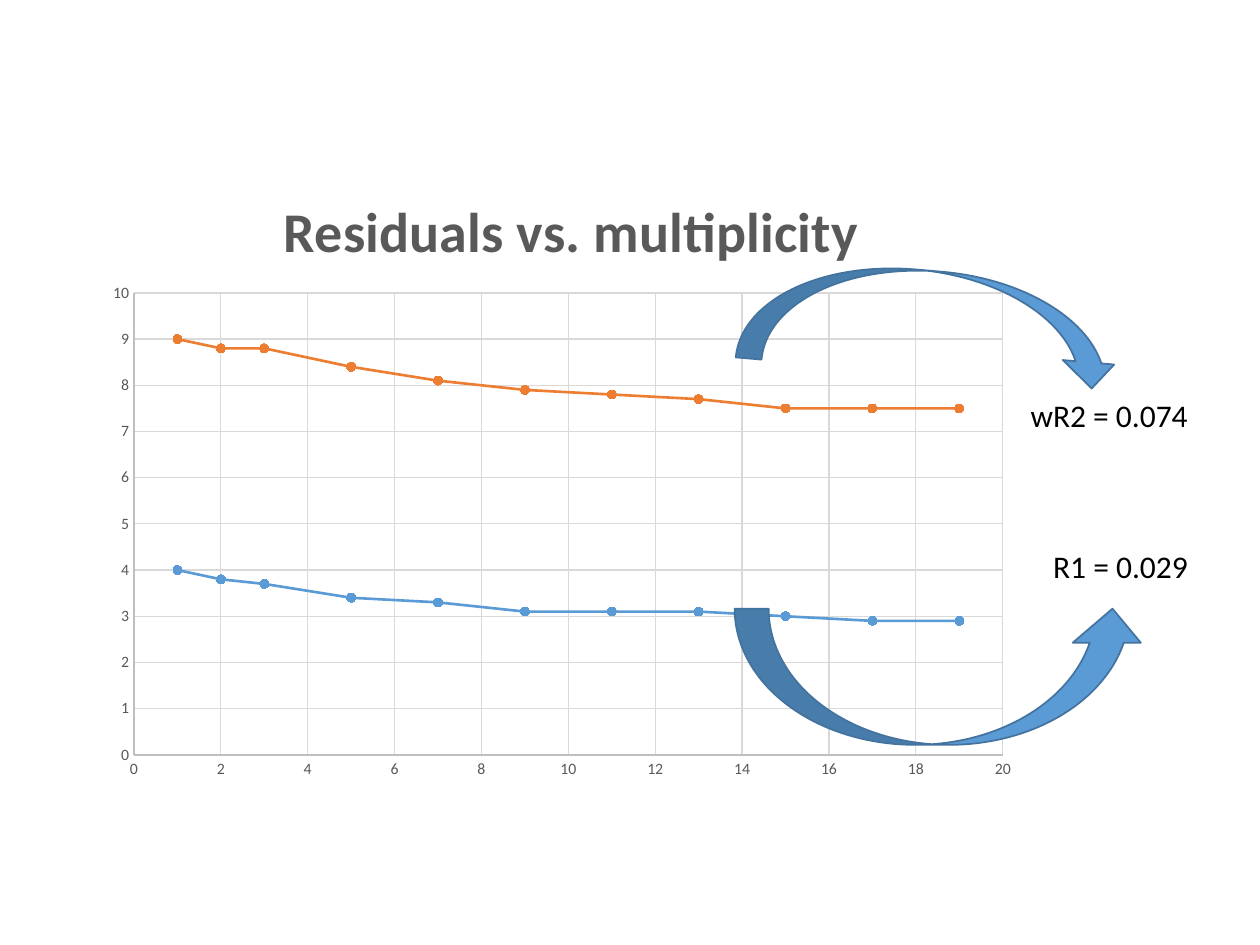
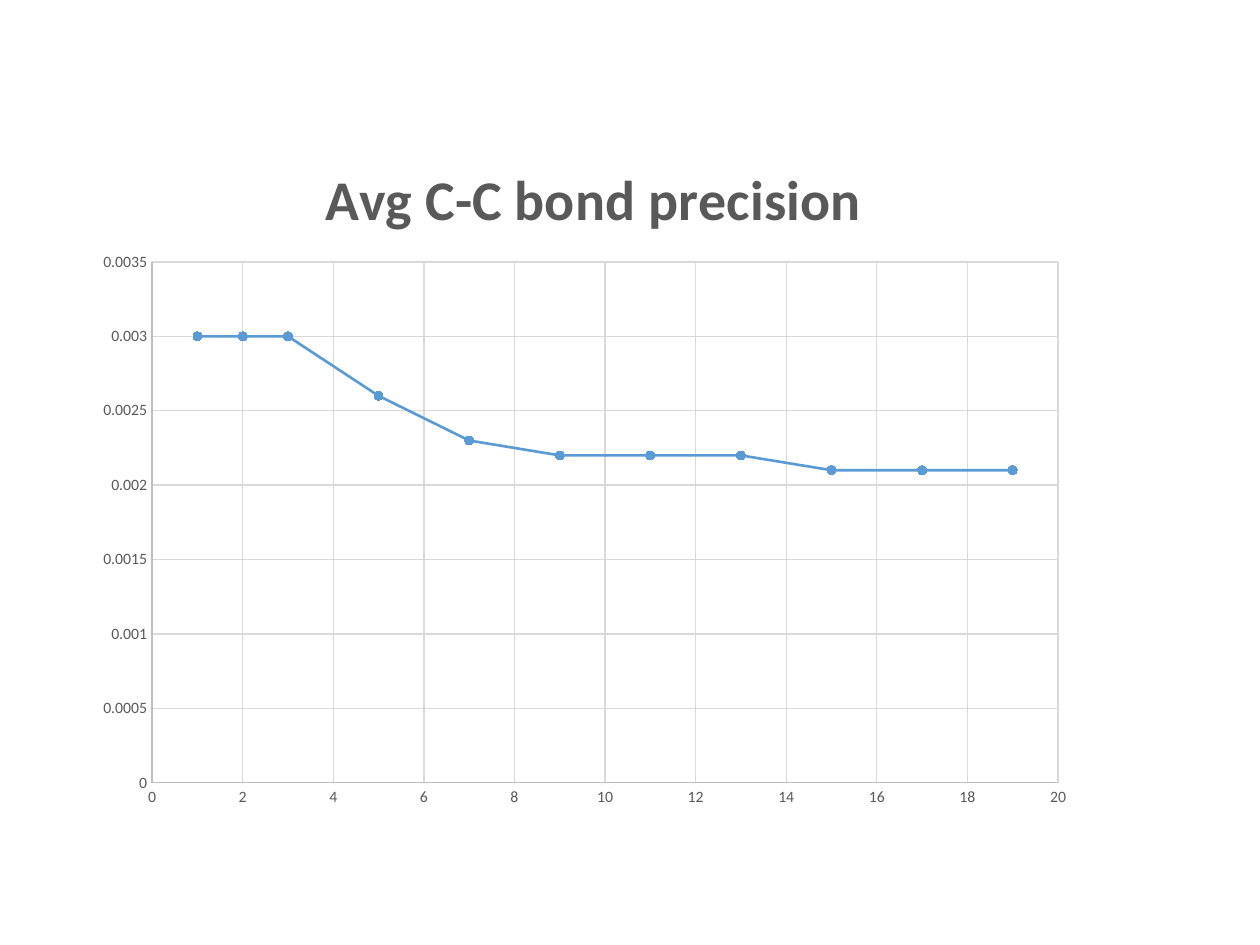
"""Two slides of scatter charts on residuals and bond precision against multiplicity."""
from lxml.etree import SubElement
from pptx import Presentation
from pptx.chart.data import XyChartData
from pptx.dml.color import RGBColor
from pptx.enum.chart import XL_CHART_TYPE, XL_MARKER_STYLE, XL_TICK_MARK
from pptx.enum.shapes import MSO_SHAPE
from pptx.enum.text import MSO_AUTO_SIZE
from pptx.oxml.ns import qn
from pptx.util import Pt

FONT = "Calibri"
COLORS = {"blue": "5B9BD5", "orange": "ED7D31", "outline": "43739E",
          "text": "000000", "muted": "595959", "axis": "BFBFBF", "grid": "D9D9D9"}
SERIES_COLORS = ("blue", "orange")
MULTIPLICITY = (1, 2, 3, 5, 7, 9, 11, 13, 15, 17, 19)
MULTIPLICITY_AXIS = (20, 2)

CHARTS = [
    {"title": "Residuals vs. multiplicity",
     "frame": (54, 84.24, 535, 368),
     "plot": (76.6, 167.4, 496.5, 264),
     "title_at": (156, 104),
     "value_axis": (10, 1),
     "series": [(4, 3.8, 3.7, 3.4, 3.3, 3.1, 3.1, 3.1, 3, 2.9, 2.9),
                (9, 8.8, 8.8, 8.4, 8.1, 7.9, 7.8, 7.7, 7.5, 7.5, 7.5)]},
    {"title": "Avg C-C bond precision",
     "frame": (47.5, 65.5, 573, 403),
     "plot": (86.9, 149.7, 517.7, 297.7),
     "title_at": (180, 85.5),
     "value_axis": (0.0035, 0.0005),
     "series": [(0.003, 0.003, 0.003, 0.0026, 0.0023, 0.0022,
                 0.0022, 0.0022, 0.0021, 0.0021, 0.0021)]},
]
ARROWS = [(MSO_SHAPE.CURVED_LEFT_ARROW, (502.6, 74.9, 59, 218.9), 275),
          (MSO_SHAPE.CURVED_UP_ARROW, (419.8, 347.8, 235.4, 77.8), 0)]
LABELS = [("wR2 = 0.074", (581.8, 222.5, 118.8, 28.8)),
          ("R1 = 0.029", (594.7, 308.9, 92.9, 28.8))]


def color(name):
    return RGBColor.from_string(COLORS[name])


def points(values):
    return [Pt(value) for value in values]


def style_line(line, name, width):
    line.color.rgb = color(name)
    line.width = Pt(width)


def style_font(font, size, name, bold=False):
    font.name = FONT
    font.size = Pt(size)
    font.bold = bold
    font.color.rgb = color(name)


def set_layout(parent, position, frame, inner=False):
    """Place a chart part at slide coordinates, as fractions of the chart frame."""
    for old in parent.findall(qn("c:layout")):
        parent.remove(old)
    layout = parent.makeelement(qn("c:layout"))
    text = parent.find(qn("c:tx"))
    parent.insert(0 if text is None else 1, layout)
    manual = SubElement(layout, qn("c:manualLayout"))
    left, top, width, height = frame
    fractions = [(position[0] - left) / width, (position[1] - top) / height]
    fractions += [length / side for length, side in zip(position[2:], (width, height))]
    settings = [("layoutTarget", "inner")] if inner else []
    settings += [("xMode", "edge"), ("yMode", "edge")]
    settings += [(key, f"{value:.4f}") for key, value in zip("xywh", fractions)]
    for key, value in settings:
        SubElement(manual, qn(f"c:{key}")).set("val", value)


def style_axis(axis, maximum, step):
    axis.minimum_scale = 0
    axis.maximum_scale = maximum
    axis.major_unit = step
    axis.major_tick_mark = axis.minor_tick_mark = XL_TICK_MARK.NONE
    axis.has_major_gridlines = True
    style_line(axis.major_gridlines.format.line, "grid", 0.75)
    style_line(axis.format.line, "axis", 0.75)
    style_font(axis.tick_labels.font, 9, "muted")
    axis.tick_labels.number_format = "General"
    axis.tick_labels.number_format_is_linked = False


def add_scatter(page, content):
    data = XyChartData()
    for number, values in enumerate(content["series"], 1):
        series = data.add_series(f"Series {number}")
        for x, y in zip(MULTIPLICITY, values):
            series.add_data_point(x, y)
    frame = content["frame"]
    chart = page.shapes.add_chart(
        XL_CHART_TYPE.XY_SCATTER_SMOOTH, *points(frame), data).chart
    chart.has_legend = False
    style_font(chart.font, 10, "text")
    chart.has_title = True
    title = chart.chart_title
    title.include_in_layout = False
    para = title.text_frame.paragraphs[0]
    para.text = content["title"]
    style_font(para.font, 32, "muted", bold=True)
    set_layout(title._element, content["title_at"], frame)
    set_layout(chart._chartSpace.chart.plotArea, content["plot"], frame, inner=True)
    style_axis(chart.category_axis, *MULTIPLICITY_AXIS)
    style_axis(chart.value_axis, *content["value_axis"])
    plot = chart.plots[0]
    plot.vary_by_categories = False
    for series, name in zip(plot.series, SERIES_COLORS):
        series.smooth = True
        style_line(series.format.line, name, 1.5)
        marker = series.marker
        marker.style = XL_MARKER_STYLE.CIRCLE
        marker.size = 5
        marker.format.fill.solid()
        marker.format.fill.fore_color.rgb = color(name)
        style_line(marker.format.line, name, 0.75)


def add_arrow(page, kind, place, rotation):
    arrow = page.shapes.add_shape(kind, *points(place))
    arrow.rotation = rotation
    arrow.shadow.inherit = False
    arrow.fill.solid()
    arrow.fill.fore_color.rgb = color("blue")
    style_line(arrow.line, "outline", 1)


def add_label(page, text, place):
    frame = page.shapes.add_textbox(*points(place)).text_frame
    frame.word_wrap = True
    frame.auto_size = MSO_AUTO_SIZE.SHAPE_TO_FIT_TEXT
    para = frame.paragraphs[0]
    para.text = text
    style_font(para.font, 18, "text")


def main():
    deck = Presentation()
    deck.slide_width, deck.slide_height = Pt(720), Pt(540)
    pages = [deck.slides.add_slide(deck.slide_layouts[6]) for _ in CHARTS]
    for page, content in zip(pages, CHARTS):
        add_scatter(page, content)
    for arrow in ARROWS:
        add_arrow(pages[0], *arrow)
    for label in LABELS:
        add_label(pages[0], *label)
    deck.save("out.pptx")


if __name__ == "__main__":
    main()
